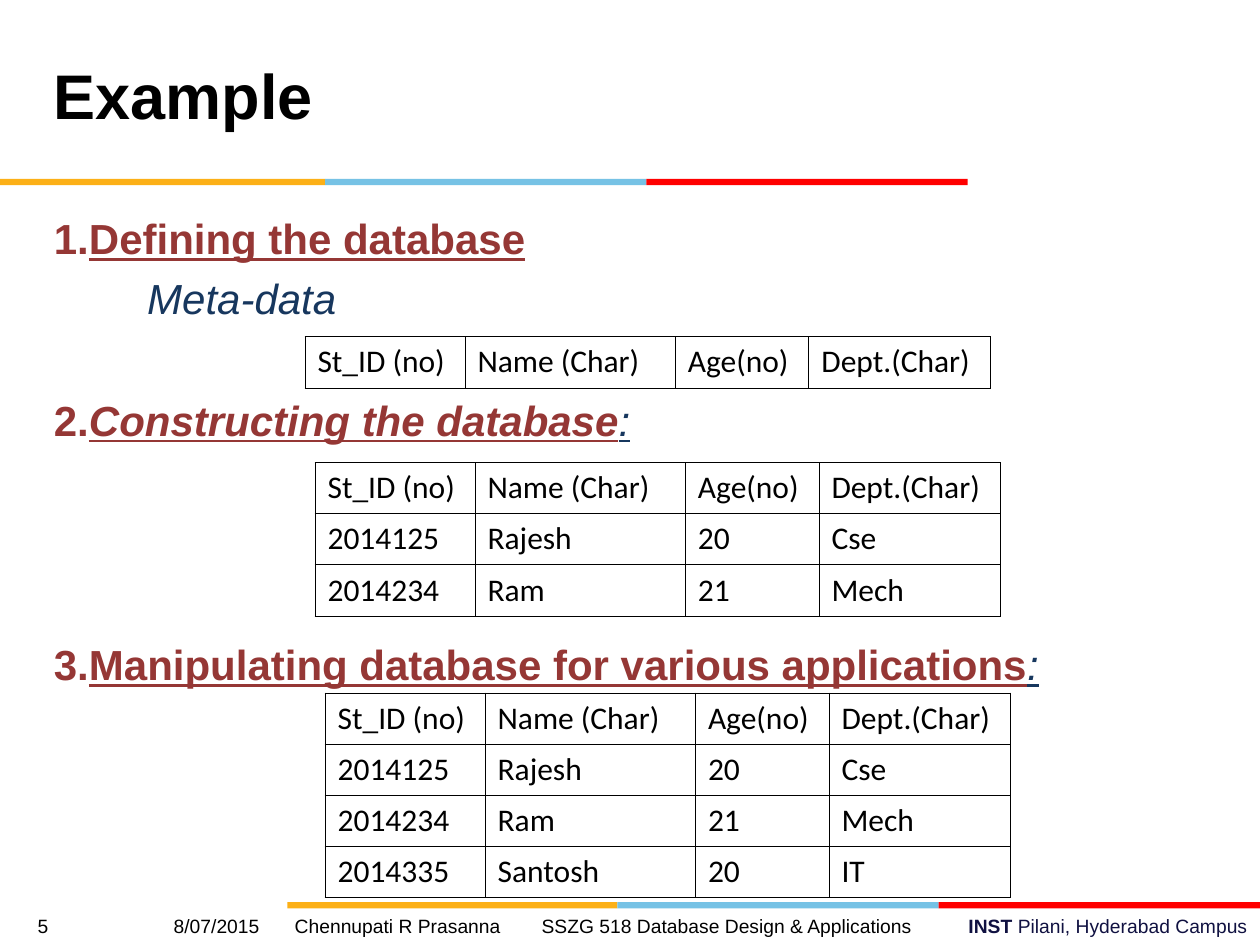
from lxml.etree import SubElement
from pptx import Presentation
from pptx.dml.color import RGBColor
from pptx.enum.shapes import MSO_SHAPE
from pptx.enum.text import MSO_ANCHOR, PP_ALIGN
from pptx.oxml.ns import qn
from pptx.util import Inches, Pt

WIDTH, HEIGHT = 10, 7.5
MARGIN = 0.33
STRIPE_WIDTH = 2.55
BLACK, NAVY, MAROON, INK = "000000", "17375E", "953735", "101141"
AMBER, SKY, RED = "FCB017", "76C2E5", "FF0000"
COLUMN_WIDTHS = [1.27, 1.67, 1.06, 1.44]
HEADER = ["St_ID (no)", "Name (Char)", "Age(no)", "Dept.(Char)"]
STUDENTS = [
    ["2014125", "Rajesh", "20", "Cse"],
    ["2014234", "Ram", "21", "Mech"],
    ["2014335", "Santosh", "20", "IT"],
]


def color(value):
    return RGBColor.from_string(value)


def add_run(paragraph, text, size, value, bold=False, italic=False,
            underline=False, font="Arial"):
    run = paragraph.add_run()
    run.text = text
    run.font.name = font
    run.font.size = Pt(size)
    run.font.color.rgb = color(value)
    run.font.bold = bold
    run.font.italic = italic
    run.font.underline = underline


def add_text_frame(slide, left, top, width, height, wrap=True):
    box = slide.shapes.add_textbox(*map(Inches, (left, top, width, height)))
    box.text_frame.word_wrap = wrap
    return box.text_frame


def add_stripes(slide, left, top, first_width):
    """Draw the three-coloured band, its parts side by side."""
    widths = (first_width, STRIPE_WIDTH, STRIPE_WIDTH)
    for value, width in zip((AMBER, SKY, RED), widths):
        stripe = slide.shapes.add_shape(
            MSO_SHAPE.RECTANGLE, Inches(left), Inches(top), Inches(width),
            Inches(0.05))
        stripe.shadow.inherit = False
        stripe.fill.solid()
        stripe.fill.fore_color.rgb = color(value)
        stripe.line.fill.background()
        left += width


def add_title(slide):
    frame = add_text_frame(slide, MARGIN, 0.17, 6.92, 1.25)
    frame.vertical_anchor = MSO_ANCHOR.MIDDLE
    paragraph = frame.paragraphs[0]
    paragraph.line_spacing = Pt(36)
    add_run(paragraph, "Example", 36, BLACK, bold=True)


def add_steps(slide):
    """Write the headings, spaced to leave room for the tables."""
    frame = add_text_frame(slide, MARGIN, 1.63, WIDTH - MARGIN, 5.53)
    frame.margin_top = Inches(0.06)
    steps = [
        (0, "1.", "Defining the database", False, ""),
        (41, "2.", "Constructing the database", True, ":"),
        (111, "3.", "Manipulating database for various applications", False, ":"),
    ]
    paragraph = frame.paragraphs[0]
    for space, number, heading, italic, colon in steps:
        if space:
            paragraph = frame.add_paragraph()
        paragraph.space_before = Pt(space)
        add_run(paragraph, number, 24, MAROON, bold=True)
        add_run(paragraph, heading, 24, MAROON, bold=True, italic=italic,
                underline=True)
        if colon:
            add_run(paragraph, colon, 24, NAVY, italic=True, underline=True)
        else:
            metadata = frame.add_paragraph()
            metadata.space_before = Pt(5)
            metadata._p.get_or_add_pPr().set("marL", str(Inches(0.74)))
            add_run(metadata, "Meta-data", 24, NAVY, italic=True)


def set_borders(cell):
    properties = cell._tc.get_or_add_tcPr()
    for side in ("a:lnL", "a:lnR", "a:lnT", "a:lnB"):
        line = SubElement(properties, qn(side), w=str(Pt(0.45)))
        fill = SubElement(line, qn("a:solidFill"))
        SubElement(fill, qn("a:srgbClr"), val=BLACK)


def add_student_table(slide, left, top, height, student_count):
    rows = [HEADER] + STUDENTS[:student_count]
    table = slide.shapes.add_table(
        len(rows), len(HEADER), Inches(left), Inches(top),
        Inches(sum(COLUMN_WIDTHS)), Inches(height)).table
    table.first_row = table.horz_banding = False
    for column, width in zip(table.columns, COLUMN_WIDTHS):
        column.width = Inches(width)
    for row_index, values in enumerate(rows):
        for column_index, text in enumerate(values):
            cell = table.cell(row_index, column_index)
            set_borders(cell)
            cell.fill.background()
            add_run(cell.text_frame.paragraphs[0], text, 18, BLACK,
                    font="Calibri")


def add_footer(slide):
    top, height = 7.21, 0.29
    campus = add_text_frame(slide, 3.58, top, WIDTH - 3.58, height).paragraphs[0]
    campus.alignment = PP_ALIGN.RIGHT
    add_run(campus, "INST ", 11, INK, bold=True)
    add_run(campus, "Pilani, Hyderabad Campus", 11, INK)

    course = add_text_frame(slide, 0.2, top, 7.15, height, wrap=False).paragraphs[0]
    tabs = SubElement(course._p.get_or_add_pPr(), qn("a:tabLst"))
    for position in (1.08, 2.04, 4):
        SubElement(tabs, qn("a:tab"), pos=str(Inches(position)), algn="l")
    add_run(course, "5\t8/07/2015\tChennupati R Prasanna\t"
            "SSZG 518 Database Design & Applications", 11, BLACK)


def main():
    presentation = Presentation()
    presentation.slide_width = Inches(WIDTH)
    presentation.slide_height = Inches(HEIGHT)
    slide = presentation.slides.add_slide(presentation.slide_layouts[6])
    add_stripes(slide, 2.28, 7.16, WIDTH - 2.28 - 2 * STRIPE_WIDTH)
    add_stripes(slide, 0, 1.42, 2.58)
    add_steps(slide)
    add_title(slide)
    add_student_table(slide, 2.42, 2.67, 0.41, 0)
    add_student_table(slide, 2.5, 3.67, 1.22, 2)
    add_student_table(slide, 2.58, 5.5, 1.62, 3)
    add_footer(slide)
    presentation.save("out.pptx")


if __name__ == "__main__":
    main()
